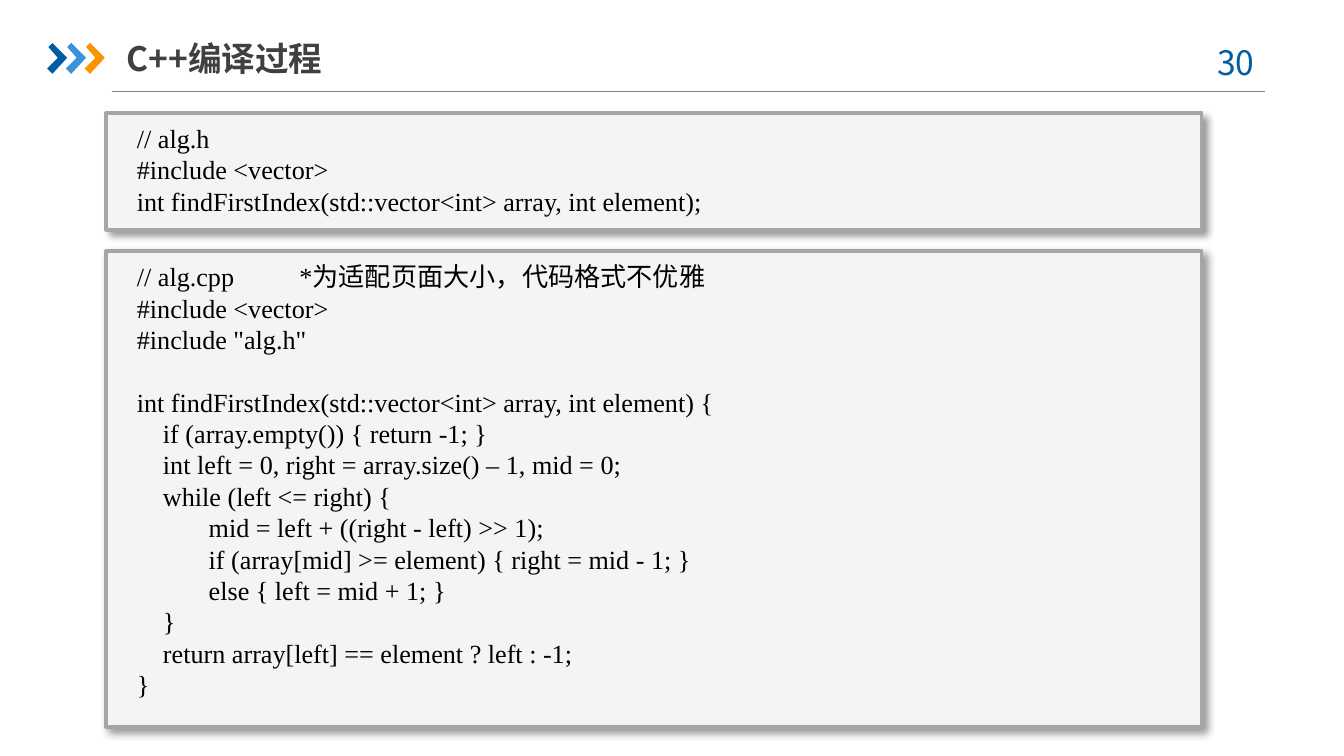
from lxml import etree
from pptx import Presentation, util as u
from pptx.dml.color import RGBColor
from pptx.enum import shapes, text
from pptx.oxml.ns import qn

SANS, SERIF = "Noto Sans CJK SC", "Times New Roman"
TITLE, PAGE_NUMBER = "C++编译过程", "30"
CHEVRON_COLORS = ["005DA2", "3992DB", "F79600"]
CHEVRON = [(0.01, 0.03), (0.04, 0), (0.15, 0.11), (0.04, 0.23), (0, 0.19), (0.08, 0.11)]

HEADER_CODE = """// alg.h
#include <vector>
int findFirstIndex(std::vector<int> array, int element);"""

SOURCE_CODE = """// alg.cpp\t*为适配页面大小，代码格式不优雅
#include <vector>
#include "alg.h"

int findFirstIndex(std::vector<int> array, int element) {
    if (array.empty()) { return -1; }
    int left = 0, right = array.size() – 1, mid = 0;
    while (left <= right) {
           mid = left + ((right - left) >> 1);
           if (array[mid] >= element) { right = mid - 1; }
           else { left = mid + 1; }
    }
    return array[left] == element ? left : -1;
}"""

# Code, panel top, panel height, text height
PANELS = [(HEADER_CODE, 0.84, 0.87, 0.81), (SOURCE_CODE, 1.87, 3.54, 3.4)]
PANEL_LEFT, PANEL_WIDTH = 0.79, 8.15
CODE_INSET, CODE_TOP = 0.13, 0.02
NOTE_TAB = 1.21


def color(value):
    return RGBColor.from_string(value)


def inches(*lengths):
    return [u.Inches(length) for length in lengths]


def fill(shape, value):
    shape.fill.solid()
    shape.fill.fore_color.rgb = color(value)


def style(paragraph, size, latin, value, bold=False):
    paragraph.font.size = u.Pt(size)
    for run in paragraph.runs:
        font = run.font
        font.size, font.name, font.bold = u.Pt(size), latin, bold
        font.color.rgb = color(value)
        etree.SubElement(run._r.get_or_add_rPr(), qn("a:ea"), typeface=SANS)


def add_shadow(shape):
    shape.shadow.inherit = False
    effects = shape._element.spPr.find(qn("a:effectLst"))
    shadow = etree.SubElement(effects, qn("a:outerShdw"), blurRad=str(u.Pt(4)),
                              dist=str(u.Pt(3)), dir=str(45 * 60000),
                              algn="tl", rotWithShape="0")
    black = etree.SubElement(shadow, qn("a:srgbClr"), val="000000")
    etree.SubElement(black, qn("a:alpha"), val="40000")


def add_tab_stop(paragraph, position):
    tabs = etree.SubElement(paragraph._p.get_or_add_pPr(), qn("a:tabLst"))
    etree.SubElement(tabs, qn("a:tab"), pos=str(u.Inches(position)), algn="l")


def add_header(slide):
    # Rule under the title
    rule = slide.shapes.add_connector(shapes.MSO_CONNECTOR.STRAIGHT,
                                      *inches(0.83, 0.68, 9.41, 0.68))
    rule.line.color.rgb, rule.line.width = color("808080"), u.Pt(0.75)
    etree.SubElement(rule._element.spPr, qn("a:effectLst"))

    # Three chevrons
    for i, value in enumerate(CHEVRON_COLORS):
        points = [inches(0.35 + 0.14 * i + x, 0.32 + y) for x, y in CHEVRON]
        builder = slide.shapes.build_freeform(*points[0])
        builder.add_line_segments(points[1:], close=True)
        chevron = builder.convert_to_shape()
        chevron.shadow.inherit = False
        fill(chevron, value)
        chevron.line.fill.background()

    # Page number
    number = slide.shapes.add_textbox(*inches(8.83, 0.26, 0.73, 0.4)).text_frame
    number.word_wrap = True
    number.text = PAGE_NUMBER
    number.paragraphs[0].alignment = text.PP_ALIGN.CENTER
    style(number.paragraphs[0], 18, SANS, "005DA2")

    # Title
    title = slide.shapes.title
    title.left, title.top, title.width, title.height = inches(0.94, 0.22, 2.33, 0.42)
    frame = title.text_frame
    frame.text = TITLE
    frame.auto_size = text.MSO_AUTO_SIZE.NONE
    frame.vertical_anchor = text.MSO_ANCHOR.MIDDLE
    frame.margin_left = frame.margin_right = 0
    frame.paragraphs[0].alignment = text.PP_ALIGN.LEFT
    style(frame.paragraphs[0], 18, SANS, "404040", bold=True)


def add_code_panel(slide, code, top, height, code_height):
    panel = slide.shapes.add_shape(shapes.MSO_SHAPE.RECTANGLE,
                                   *inches(PANEL_LEFT, top, PANEL_WIDTH, height))
    fill(panel, "F3F4F5")
    panel.line.color.rgb, panel.line.width = color("A6A6A6"), u.Pt(2)
    add_shadow(panel)

    listing = slide.shapes.add_textbox(*inches(
        PANEL_LEFT + CODE_INSET, top + CODE_TOP,
        PANEL_WIDTH - 2 * CODE_INSET, code_height))
    fill(listing, "F3F4F5")
    frame = listing.text_frame
    frame.word_wrap = True
    frame.text = code
    for line in frame.paragraphs:
        if "\t" in line.text:
            add_tab_stop(line, NOTE_TAB)
        style(line, 14, SERIF, "000000")


def main():
    prs = Presentation()
    # Widescreen, 16:9
    prs.slide_width = u.Inches(10)
    prs.slide_height = prs.slide_width * 9 // 16
    slide = prs.slides.add_slide(prs.slide_layouts[5])
    add_header(slide)
    for panel in PANELS:
        add_code_panel(slide, *panel)
    prs.save("out.pptx")


if __name__ == "__main__":
    main()
